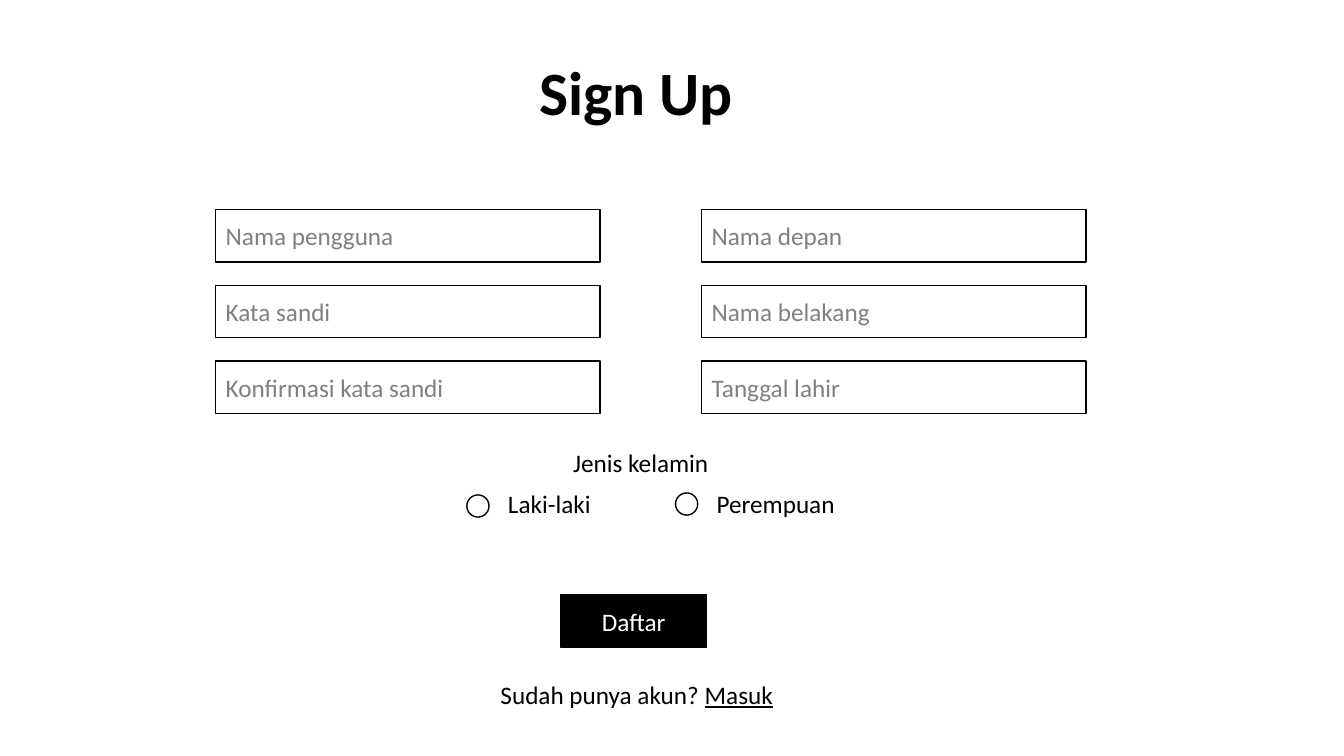
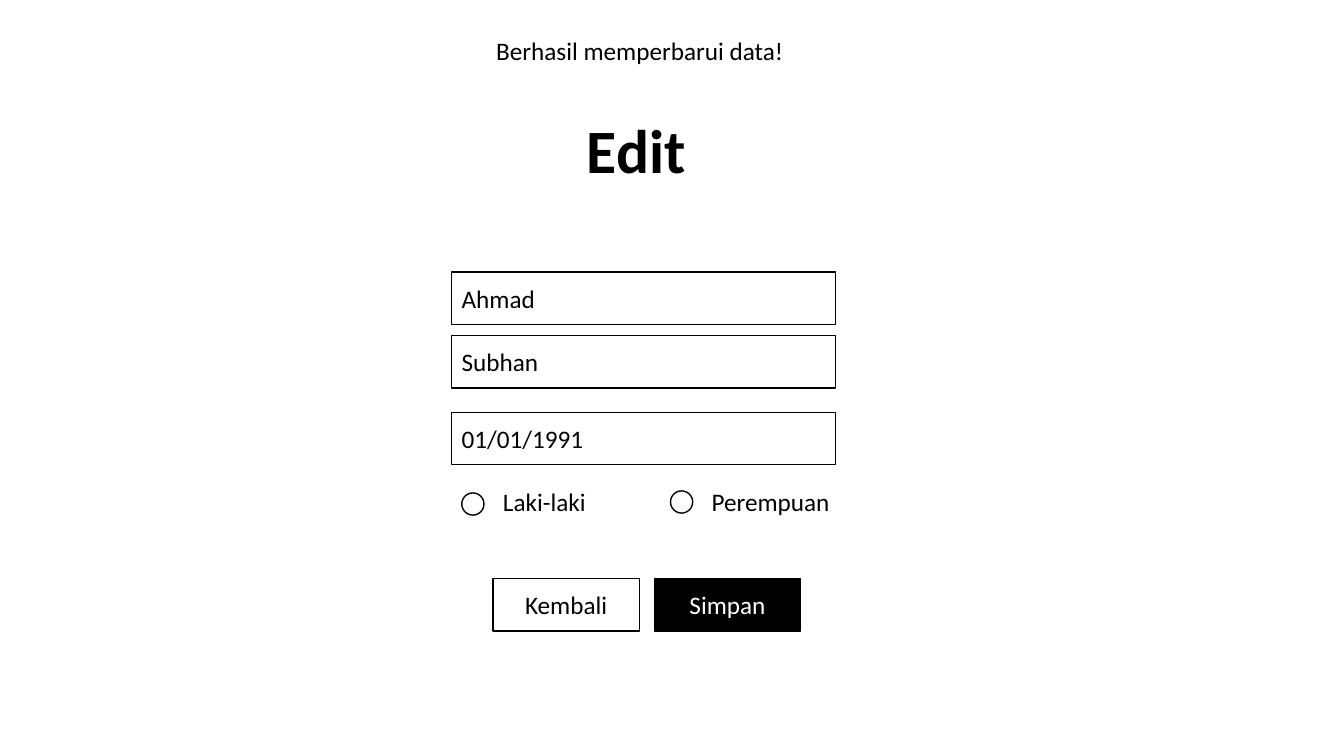
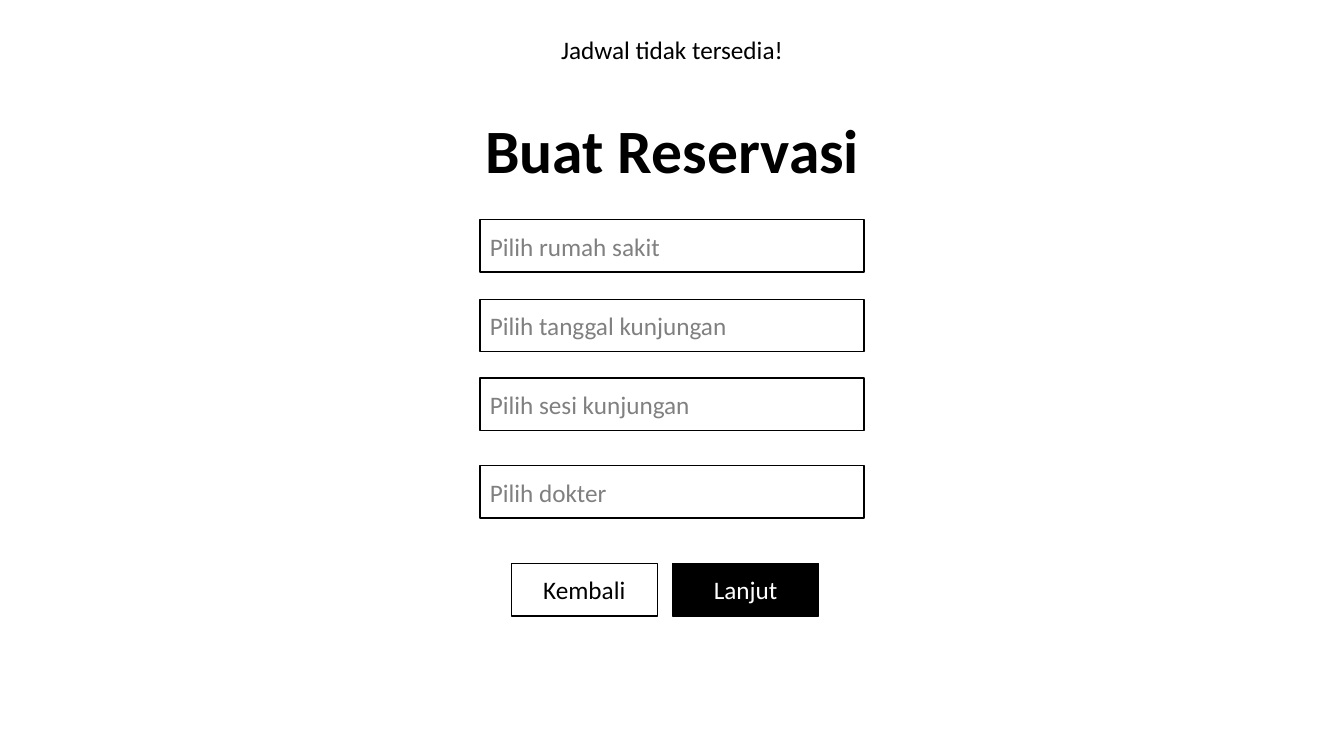
from dataclasses import dataclass

from pptx import Presentation
from pptx.dml.color import RGBColor
from pptx.enum.shapes import MSO_SHAPE
from pptx.enum.text import MSO_ANCHOR, MSO_AUTO_SIZE, PP_ALIGN
from pptx.util import Emu, Pt

RECT, OVAL = MSO_SHAPE.RECTANGLE, MSO_SHAPE.OVAL
LEFT, CENTER = PP_ALIGN.LEFT, PP_ALIGN.CENTER
TOP, MIDDLE = MSO_ANCHOR.TOP, MSO_ANCHOR.MIDDLE
GROW = MSO_AUTO_SIZE.SHAPE_TO_FIT_TEXT

BLACK = RGBColor(0x00, 0x00, 0x00)
WHITE = RGBColor(0xFF, 0xFF, 0xFF)
GRAY = RGBColor(0x80, 0x80, 0x80)

FONT = "Calibri"
PX = 9144  # 100 px to the inch
FIELD_W, BUTTON_W, BOX_H = 381, 145, 52
BUTTON_STEP = BUTTON_W + 15
TITLE_W, MESSAGE_W = 448, 465
RADIO_D, RADIO_STEP, RADIO_INDENT = 22, 207, 31
GENDERS = ("Laki-laki", "Perempuan")


@dataclass(frozen=True)
class Box:
    x: int
    y: int
    w: int
    h: int

    def emu(self) -> tuple[Emu, ...]:
        return tuple(Emu(n * PX) for n in (self.x, self.y, self.w, self.h))


@dataclass(frozen=True)
class Style:
    color: RGBColor = BLACK
    align: PP_ALIGN = LEFT
    size: int = 18
    bold: bool = False


VALUE = Style()
HINT = Style(GRAY)
CENTERED = Style(align=CENTER)
INVERTED = Style(WHITE, CENTER)
TITLE = Style(align=CENTER, size=44, bold=True)


# Shared parts
def write(tf, text: str, style: Style, anchor=TOP, underlined: str = "") -> None:
    tf.word_wrap = True
    tf.vertical_anchor = anchor
    p = tf.paragraphs[0]
    p.text = text
    p.alignment = style.align
    if underlined:
        r = p.add_run()
        r.text = underlined
        r.font.underline = True
    for r in p.runs:
        r.font.name = FONT
        r.font.size = Pt(style.size)
        r.font.bold = style.bold
        r.font.color.rgb = style.color


def add_label(s, box: Box, text: str, style: Style, underlined: str = "") -> None:
    tf = s.shapes.add_textbox(*box.emu()).text_frame
    write(tf, text, style, underlined=underlined)
    tf.auto_size = GROW


def add_outline(s, kind, box: Box, fill: RGBColor = WHITE):
    sp = s.shapes.add_shape(kind, *box.emu())
    sp.shadow.inherit = False
    sp.fill.solid()
    sp.fill.fore_color.rgb = fill
    sp.line.color.rgb = BLACK
    sp.line.width = Pt(1)
    return sp


def add_title(s, x: int, y: int, text: str) -> None:
    add_label(s, Box(x, y, TITLE_W, 84), text, TITLE)


def add_message(s, x: int, y: int, text: str) -> None:
    add_label(s, Box(x, y, MESSAGE_W, 40), text, CENTERED)


def add_field(s, x: int, y: int, text: str, style: Style = HINT) -> None:
    sp = add_outline(s, RECT, Box(x, y, FIELD_W, BOX_H))
    write(sp.text_frame, text, style, MIDDLE)


def add_button(s, x: int, y: int, text: str, primary: bool = True) -> None:
    sp = add_outline(s, RECT, Box(x, y, BUTTON_W, BOX_H), BLACK if primary else WHITE)
    write(sp.text_frame, text, INVERTED if primary else CENTERED, MIDDLE)


def add_button_pair(s, x: int, y: int, action: str) -> None:
    add_button(s, x, y, "Kembali", primary=False)
    add_button(s, x + BUTTON_STEP, y, action)


def add_gender_radios(s, x: int, y: int) -> None:
    for i, gender in enumerate(GENDERS):
        left = x + i * RADIO_STEP
        add_outline(s, OVAL, Box(left, y + 11 - 2 * i, RADIO_D, RADIO_D))
        add_label(s, Box(left + RADIO_INDENT, y, 176, 40), gender, VALUE)


# Slides
def sign_up(s) -> None:
    add_title(s, 407, 49, "Sign Up")
    columns = {
        214: ("Nama pengguna", "Kata sandi", "Konfirmasi kata sandi"),
        696: ("Nama depan", "Nama belakang", "Tanggal lahir"),
    }
    for x, hints in columns.items():
        for row, hint in enumerate(hints):
            add_field(s, x, 208 + 75 * row, hint)
    add_label(s, Box(514, 439, 243, 40), "Jenis kelamin", CENTERED)
    add_gender_radios(s, 463, 480)
    add_button(s, 556, 590, "Daftar")
    add_label(s, Box(435, 669, 393, 40), "Sudah punya akun? ", CENTERED, "Masuk")


def edit_profile(s) -> None:
    add_message(s, 402, 30, "Berhasil memperbarui data!")
    add_title(s, 407, 106, "Edit")
    for y, value in ((270, "Ahmad"), (333, "Subhan"), (409, "01/01/1991")):
        add_field(s, 448, y, value, VALUE)
    add_gender_radios(s, 458, 478)
    add_button_pair(s, 489, 574, "Simpan")


def make_reservation(s) -> None:
    add_message(s, 434, 29, "Jadwal tidak tersedia!")
    add_title(s, 443, 106, "Buat Reservasi")
    for y, hint in (
        (218, "Pilih rumah sakit"),
        (297, "Pilih tanggal kunjungan"),
        (375, "Pilih sesi kunjungan"),
        (462, "Pilih dokter"),
    ):
        add_field(s, 476, y, hint)
    add_button_pair(s, 507, 559, "Lanjut")


def main() -> None:
    prs = Presentation()
    prs.slide_width, prs.slide_height = Emu(1333 * PX), Emu(750 * PX)
    blank = prs.slide_layouts[6]
    for build in (sign_up, edit_profile, make_reservation):
        build(prs.slides.add_slide(blank))
    prs.save("out.pptx")


if __name__ == "__main__":
    main()
